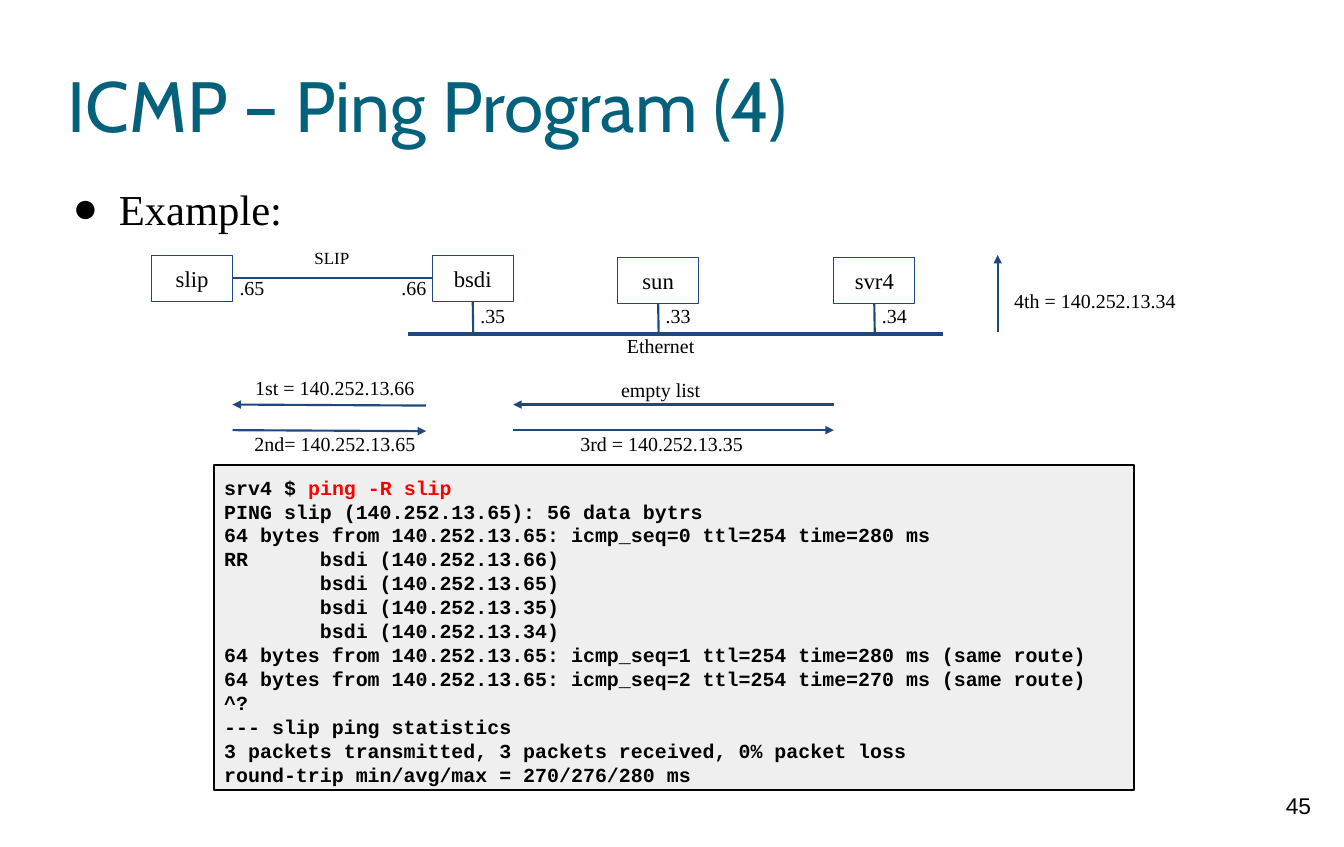
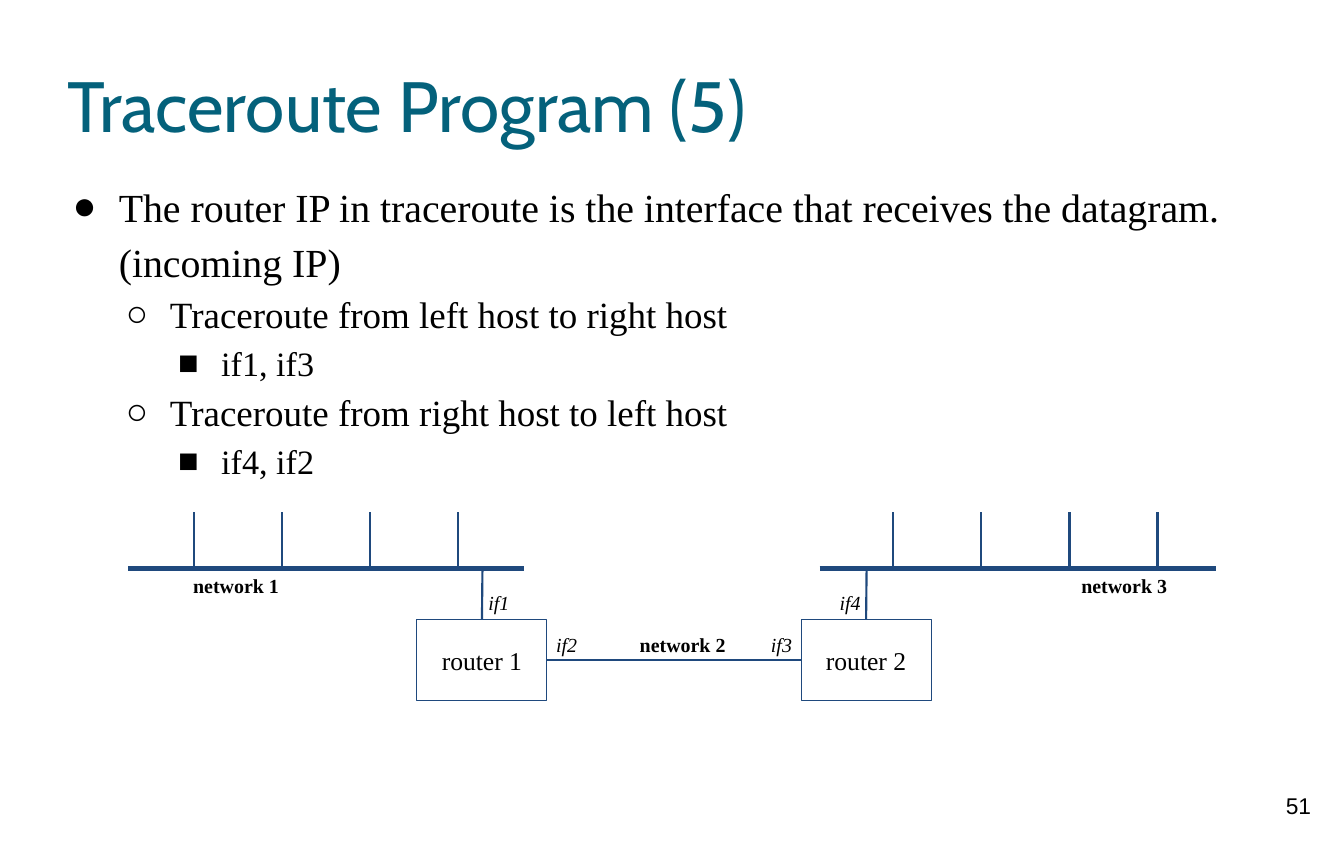
"""Build two slides on the ping and traceroute programs."""
from lxml.etree import SubElement
from pptx import Presentation
from pptx.dml.color import RGBColor
from pptx.enum.shapes import MSO_CONNECTOR, MSO_SHAPE
from pptx.enum.text import MSO_ANCHOR, PP_ALIGN
from pptx.oxml.ns import qn
from pptx.util import Inches, Pt

BLUE, TEAL, BLACK, RED, GRAY = "1F497D", "04617B", "000000", "FF0000", "EFEFEF"
SERIF = "Times New Roman"
LEFT, MID, RIGHT = PP_ALIGN.LEFT, PP_ALIGN.CENTER, PP_ALIGN.RIGHT
MARKS = [("●", 0.45), ("○", 0.43), ("■", 0.42)]
hue = RGBColor.from_string


def write(slide, text, x, y, w, h=0.44, size=14, font=SERIF, color=BLACK,
          bold=False, italic=False, align=LEFT, inset=0.1, middle=False,
          edge=None, wide=0.75, fill=None, levels=None):
    """Add text in a plain box, or in a rectangle when edge is given."""
    place = Inches(x), Inches(y), Inches(w), Inches(h)
    if edge:
        box = slide.shapes.add_shape(MSO_SHAPE.RECTANGLE, *place)
        box.shadow.inherit = False
        box.line.color.rgb = hue(edge)
        box.line.width = Pt(wide)
        if fill:
            box.fill.solid()
            box.fill.fore_color.rgb = hue(fill)
        else:
            box.fill.background()
    else:
        box = slide.shapes.add_textbox(*place)
    frame = box.text_frame
    frame.word_wrap = True
    frame.vertical_anchor = MSO_ANCHOR.MIDDLE if middle else MSO_ANCHOR.TOP
    frame.margin_left = frame.margin_right = Inches(inset)
    frame.margin_top = frame.margin_bottom = Inches(inset)
    rows = [text] if isinstance(text, str) else text
    for i, row in enumerate(rows):
        para = frame.paragraphs[0] if i == 0 else frame.add_paragraph()
        para.alignment = align
        points = size
        if levels:
            level = levels[i]
            mark, hang = MARKS[level]
            points = size - 2 * level
            para.level = level
            para.line_spacing = 1.15
            props = para._p.get_or_add_pPr()
            props.set("marL", str(Inches(0.5 + 0.5 * level)))
            props.set("indent", str(-Inches(hang)))
            tint = SubElement(props, qn("a:buClr"))
            SubElement(tint, qn("a:srgbClr"), val=BLACK)
            SubElement(props, qn("a:buFont"), typeface=SERIF)
            SubElement(props, qn("a:buChar"), char=mark)
        for part, shade in [(row, color)] if isinstance(row, str) else row:
            run = para.add_run()
            run.text = part
            run.font.name = font
            run.font.size = Pt(points)
            run.font.bold = bold
            run.font.italic = italic
            run.font.color.rgb = hue(shade)
    return box


def wire(slide, x1, y1, x2, y2, wide=1.5, arrow=False):
    """Add a straight line, with an arrowhead at its end if asked."""
    line = slide.shapes.add_connector(
        MSO_CONNECTOR.STRAIGHT, Inches(x1), Inches(y1), Inches(x2), Inches(y2))
    line.line.color.rgb = hue(BLUE)
    line.line.width = Pt(wide)
    if arrow:
        SubElement(line.line._get_or_add_ln(), qn("a:tailEnd"), type="triangle")
    SubElement(line._element.spPr, qn("a:effectLst"))
    return line


deck = Presentation()
deck.slide_width, deck.slide_height = Inches(13.12), Inches(8.27)
slides = []
for title, page in [("ICMP – Ping Program (4)", "45"), ("Traceroute Program (5)", "51")]:
    slide = deck.slides.add_slide(deck.slide_layouts[6])
    write(slide, title, 0.66, 0.33, 11.81, 1.38, size=50, font="Cabin",
          color=TEAL, inset=0, middle=True)
    write(slide, page, 12.28, 7.63, 0.79, 0.63, size=16, font="Arial", align=MID)
    slides.append(slide)
ping, trace = slides

write(ping, "Example:", 0.66, 1.71, 11.84, 0.5, size=30, inset=0, levels=[0])
hosts = {}
for name, x, y, addr in [("slip", 1.48, 2.49, None), ("bsdi", 4.22, 2.49, ".35"),
                         ("sun", 6.03, 2.51, ".33"), ("svr4", 8.14, 2.51, ".34")]:
    hosts[name] = write(ping, name, x, y, 0.79, 0.45, size=16, align=MID,
                        middle=True, edge=BLUE)
    if addr:
        drop = wire(ping, x + 0.4, y + 0.45, x + 0.4, 3.27)
        drop.begin_connect(hosts[name], 2)
        write(ping, addr, x + 0.37, 2.86, 0.62)
wire(ping, 3.98, 3.26, 9.21, 3.26, wide=3)
link = wire(ping, 2.27, 2.72, 4.22, 2.72)
link.begin_connect(hosts["slip"], 3)
link.end_connect(hosts["bsdi"], 1)
write(ping, "SLIP", 2.69, 2.32, 1.1, 0.4, size=12, align=MID)
write(ping, ".65", 2.24, 2.59, 1.1)
write(ping, ".66", 3.82, 2.59, 0.89)

for x1, y1, x2, y2 in [(8.14, 3.95, 5.01, 3.95), (5.01, 4.2, 8.14, 4.2),
                       (4.16, 3.96, 2.27, 3.95), (2.27, 4.2, 4.16, 4.21),
                       (9.74, 3.24, 9.74, 2.49)]:
    wire(ping, x1, y1, x2, y2, arrow=True)
for note, x, y in [("Ethernet", 5.5, 3.16), ("empty list", 5.5, 3.59),
                   ("3rd = 140.252.13.35", 5.51, 4.11),
                   ("1st = 140.252.13.66", 2.32, 3.57),
                   ("2nd= 140.252.13.65", 2.32, 4.11),
                   ("4th = 140.252.13.34", 9.74, 2.72)]:
    write(ping, note, x, y, 1.9, align=MID)

shell = [
    [("srv4 $ ", BLACK), ("ping -R slip", RED)],
    "PING slip (140.252.13.65): 56 data bytrs",
    "64 bytes from 140.252.13.65: icmp_seq=0 ttl=254 time=280 ms",
    "RR      bsdi (140.252.13.66)",
    "        bsdi (140.252.13.65)",
    "        bsdi (140.252.13.35)",
    "        bsdi (140.252.13.34)",
    "64 bytes from 140.252.13.65: icmp_seq=1 ttl=254 time=280 ms (same route)",
    "64 bytes from 140.252.13.65: icmp_seq=2 ttl=254 time=270 ms (same route)",
    "^?",
    "--- slip ping statistics",
    "3 packets transmitted, 3 packets received, 0% packet loss",
    "round-trip min/avg/max = 270/276/280 ms",
]
write(ping, shell, 2.09, 4.54, 8.98, 3.17, font="Courier New", bold=True,
      edge=BLACK, wide=1.5, fill=GRAY)

points = [
    "The router IP in traceroute is the interface that receives the datagram. (incoming IP)",
    "Traceroute from left host to right host",
    "if1, if3",
    "Traceroute from right host to left host",
    "if4, if2",
]
write(trace, points, 0.66, 1.71, 11.84, 2.96, size=28, inset=0, levels=[0, 1, 2, 1, 2])

nodes = []
for name, x, bus, first in [("router 1", 4.07, 1.25, 1.89), ("router 2", 7.82, 8, 8.72)]:
    node = write(trace, name, x, 6.05, 1.27, 0.79, size=18, align=MID,
                 middle=True, edge=BLUE)
    nodes.append(node)
    wire(trace, x + 0.64, 5.55, x + 0.64, 6.05).end_connect(node, 0)
    wire(trace, bus, 5.55, bus + 3.87, 5.55, wide=3)
    for i in range(4):
        tick = first + 0.86 * i
        wire(trace, tick, 5.55, tick, 5)
link = wire(trace, 5.34, 6.44, 7.82, 6.44)
link.begin_connect(nodes[0], 3)
link.end_connect(nodes[1], 1)

for name, x, y in [("network 1", 1.72, 5.5), ("network 2", 6.08, 6.08),
                   ("network 3", 10.39, 5.5)]:
    write(trace, name, x, y, 1.17, bold=True, align=MID)
for name, x, y, w, align in [("if1", 4.67, 5.67, 1.17, LEFT), ("if2", 5.33, 6.08, 0.44, LEFT),
                             ("if3", 7.39, 6.08, 0.44, RIGHT), ("if4", 7.33, 5.67, 1.17, RIGHT)]:
    write(trace, name, x, y, w, italic=True, align=align)

deck.save("out.pptx")
